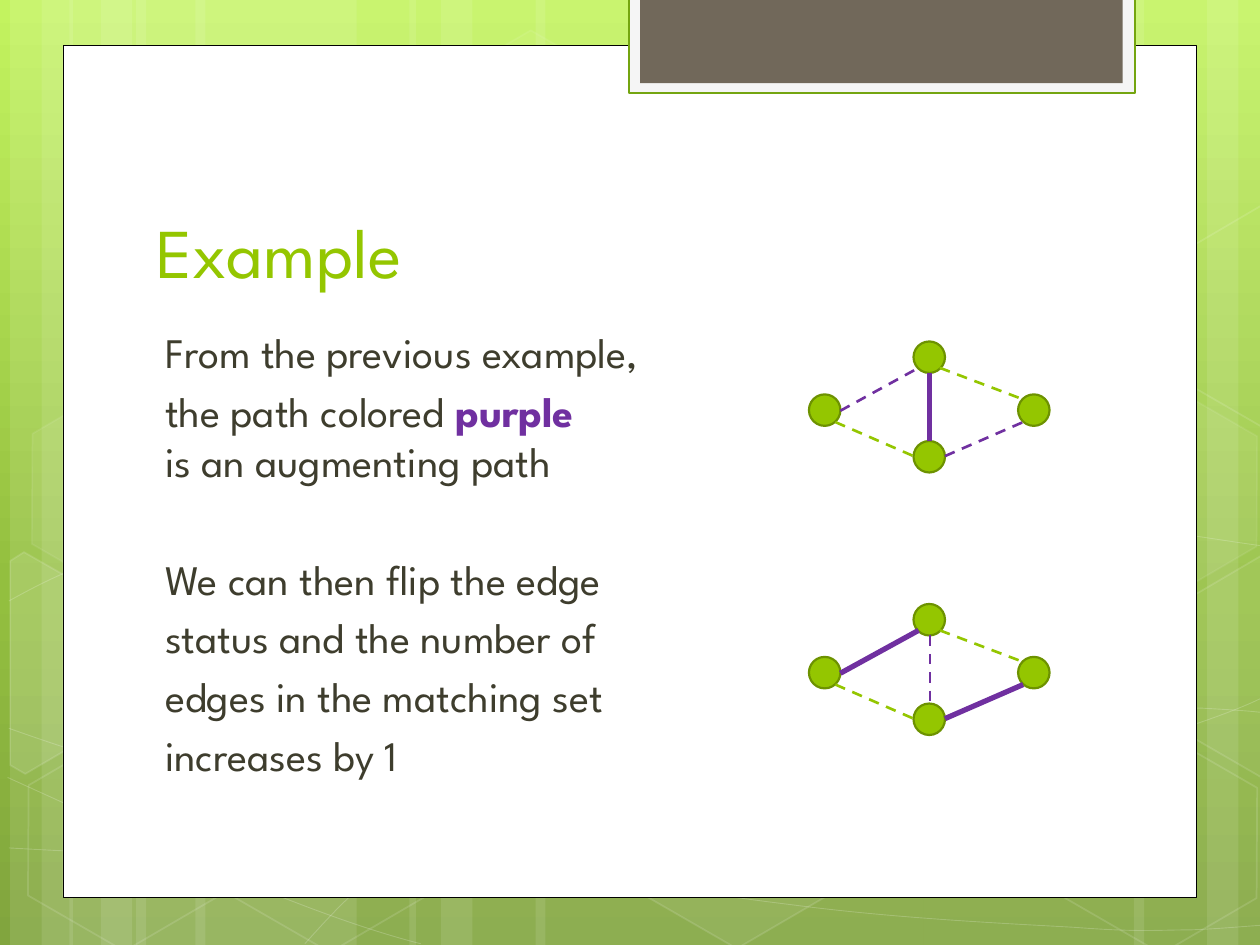
import math

import lxml.etree
import pptx
import pptx.dml.color
import pptx.enum.dml
import pptx.enum.shapes
import pptx.enum.text
import pptx.oxml.ns
import pptx.util

Inches, Pt, qn = pptx.util.Inches, pptx.util.Pt, pptx.oxml.ns.qn
SHAPE = pptx.enum.shapes.MSO_SHAPE
FONT = "League Spartan"
COLORS = {
    "white": "FFFFFF", "black": "000000", "green": "94C600", "rim": "6D9200",
    "purple": "7030A0", "ink": "3E3D2D", "tab": "71685A", "tab edge": "F5F5F5",
    "tab line": "74A510", "sky": "C3F35F", "leaf": "93BF3F", "moss": "81A53E",
}
BACKGROUND_STOPS = [("sky", 0), ("leaf", 62), ("moss", 100)]
BANDS = [
    (1.08, 1.75), (0.08, 0.5), (0.33, 0.83), (1.55, 1.75), (0.55, 0.5), (0.8, 0.83),
    (7.33, 1.75), (9.58, 0.5), (9, 0.83), (4.25, 3.08), (3.25, 0.5), (3.5, 0.83),
]
CURVES = [
    [(0.07, 6.73), (0.61, 6.76), (1.15, 6.79), (1.9, 6.78), (2.65, 6.77), (3.58, 6.75), (4.58, 6.65),
     (5.58, 6.55), (7, 6.36), (7.92, 6.17), (8.83, 5.98), (9.77, 5.68), (10.07, 5.51)],
    [(0.07, 4.77), (0.36, 4.61), (0.65, 4.46), (1.21, 4.31), (1.78, 4.16), (2.59, 3.94), (3.47, 3.87),
     (4.36, 3.8), (5.44, 3.79), (6.54, 3.87), (7.64, 3.95), (9.47, 4.26), (10.07, 4.34)],
    [(0.06, 6.17), (1.27, 6.72), (2.47, 7.27), (3.34, 7.49)],
    [(0.07, 5.78), (0.38, 5.89), (0.7, 6), (1.28, 6.16), (1.86, 6.31), (2.73, 6.56), (3.57, 6.73),
     (4.4, 6.9), (5.45, 7.08), (6.28, 7.18), (7.11, 7.29), (8, 7.33), (8.53, 7.36),
     (9.05, 7.4), (9.19, 7.38), (9.45, 7.38), (9.71, 7.37), (9.89, 7.35), (10.07, 7.34)],
    [(2.42, 7.49), (2.6, 7.29), (2.78, 7.09), (3.02, 6.91), (3.26, 6.73), (3.6, 6.53), (3.88, 6.39),
     (4.16, 6.25), (4.33, 6.19), (4.7, 6.09), (5.06, 5.99), (5.73, 5.85), (6.08, 5.78),
     (6.44, 5.71), (6.49, 5.71), (6.8, 5.69), (7.11, 5.66), (7.6, 5.63), (7.94, 5.62),
     (8.29, 5.61), (8.86, 5.62), (8.86, 5.62), (9.08, 5.62), (9.31, 5.62), (9.53, 5.62),
     (9.71, 5.63), (9.88, 5.64), (9.97, 5.65), (10.06, 5.66), (10.03, 5.65), (10.06, 5.66)],
]
HEXAGONS = [
    (3.34, 0.36, 4, 8), (4.97, 5.89, 6, 12), (0.11, 5.91, None, 12),
    (0.14, 3.12, 7, 8), (1.74, 5.92, None, 12), (7.53, 4.53, 10, 12),
    (8.34, 5.93, None, 12), (8.34, 3.14, 7, 8),
]
TILT = 30
CUT_HEXAGONS = [
    ([(0.08, 4.45), (0.19, 4.38), (0.96, 4.82), (0.95, 5.7), (0.2, 6.14), (0.08, 6.07)],
     (0.36, 5.35), 10),
    ([(9.26, 4.85), (10.01, 4.41), (10.09, 4.46), (10.09, 6.13), (10.02, 6.17), (9.26, 5.73)],
     (9.85, 5.2), 4),
    ([(9.26, 2.07), (10.01, 1.63), (10.1, 1.68), (10.09, 3.35), (10.02, 3.39), (9.26, 2.95)],
     (9.85, 2.41), None),
]
PANELS = [
    ((0.5, 0.36, 9, 6.76), "white", ("black", 0.5)),
    ((4.99, -0.02, 4.02, 0.76), "tab edge", ("tab line", 1.25)),
    ((5.08, -0.02, 3.83, 0.68), "tab", None),
]
TITLE = "Example"
BODY = [
    [("From the previous example,", "ink")],
    [("the path colored ", "ink"), ("purple", "purple"), None, ("is an augmenting path", "ink")],
    [("We can then flip the edge", "ink")],
    [("status and the number of", "ink")],
    [("edges in the matching set", "ink")],
    [("increases by 1", "ink")],
]
SECTION_START = 2
NODES = [(7.25, 3.5), (7.25, 2.71), (6.42, 3.13), (8.08, 3.13)]
EDGES = [
    ((6.67, 3.26), (7.29, 2.92), "purple"), ((7.46, 2.92), (8.12, 3.17), "green"),
    ((6.63, 3.35), (7.25, 3.62), "green"), ((7.5, 3.62), (8.12, 3.35), "purple"),
    ((7.38, 2.96), (7.38, 3.5), "purple"),
]
GRAPHS = [(0, {4}), (25 / 12, {0, 3})]


def rgb(name):
    return pptx.dml.color.RGBColor.from_string(COLORS[name])


def set_alpha(fill_element, percent):
    color = fill_element.find(".//" + qn("a:srgbClr"))
    lxml.etree.SubElement(color, qn("a:alpha"), val=str(percent * 1000))


def paint(shape, fill=None, line=None, fill_alpha=None, line_alpha=None):
    shape.shadow.inherit = False
    properties = shape._element.spPr
    if fill:
        shape.fill.solid()
        shape.fill.fore_color.rgb = rgb(fill)
        if fill_alpha:
            set_alpha(properties.find(qn("a:solidFill")), fill_alpha)
    else:
        shape.fill.background()
    if line:
        shape.line.color.rgb = rgb(line[0])
        shape.line.width = Pt(line[1])
        if line_alpha:
            set_alpha(properties.find(qn("a:ln")), line_alpha)
    else:
        shape.line.fill.background()


def add_preset(page, kind, box):
    return page.shapes.add_shape(kind, *map(Inches, box))


def add_outline(page, points, close):
    points = [tuple(map(Inches, point)) for point in points]
    builder = page.shapes.build_freeform(*points[0])
    builder.add_line_segments(points[1:], close=close)
    return builder.convert_to_shape()


def add_curve(page, controls):
    curve = add_outline(page, controls, False)
    segments = list(curve._element.iter(qn("a:lnTo")))
    for start in range(0, len(segments), 3):
        bend = lxml.etree.Element(qn("a:cubicBezTo"))
        segments[start].addprevious(bend)
        for segment in segments[start:start + 3]:
            bend.append(segment[0])
            segment.getparent().remove(segment)
    return curve


def untilt(point, center):
    x, y = point[0] - center[0], point[1] - center[1]
    cos, sin = math.cos(math.radians(TILT)), math.sin(math.radians(TILT))
    return center[0] + x * cos + y * sin, center[1] - x * sin + y * cos


def paint_background(page):
    fill = page.background.fill
    fill.gradient()
    fill.gradient_angle = 270
    stops = page.background._cSld.find(".//" + qn("a:gsLst"))
    for stop in list(stops):
        stops.remove(stop)
    for name, position in BACKGROUND_STOPS:
        stop = lxml.etree.SubElement(stops, qn("a:gs"), pos=str(position * 1000))
        lxml.etree.SubElement(stop, qn("a:srgbClr"), val=COLORS[name])


def add_decoration(page):
    for left, width in BANDS:
        paint(add_preset(page, SHAPE.RECTANGLE, (left, 0, width, 7.5)), "white", fill_alpha=10)
    for controls in CURVES:
        paint(add_curve(page, controls), line=("white", 0.5), line_alpha=20)
    for left, top, fill_alpha, line_alpha in HEXAGONS:
        hexagon = add_preset(page, SHAPE.HEXAGON, (left, top, 1.75, 1.52))
        hexagon.adjustments[0] = 0.285
        hexagon.rotation = TILT
        paint(hexagon, fill_alpha and "white", ("white", 1), fill_alpha, line_alpha)
    for points, center, fill_alpha in CUT_HEXAGONS:
        hexagon = add_outline(page, [untilt(point, center) for point in points], True)
        hexagon.rotation = TILT
        paint(hexagon, fill_alpha and "white", ("white", 1), fill_alpha, 12)
    for box, fill, line in PANELS:
        paint(add_preset(page, SHAPE.RECTANGLE, box), fill, line)


def add_frame(page, box, anchor):
    frame = page.shapes.add_textbox(*map(Inches, box)).text_frame
    frame.word_wrap = True
    frame.vertical_anchor = anchor
    return frame


def style(span, size, color):
    span.font.name, span.font.size = FONT, Pt(size)
    span.font.color.rgb = rgb(color)
    span.font.bold = color == "purple"


def add_words(page):
    body = add_frame(page, (1.14, 2.54, 7.41, 3.84), pptx.enum.text.MSO_ANCHOR.TOP)
    body.margin_left = Inches(0.17)
    for index, pieces in enumerate(BODY):
        para = body.add_paragraph() if index else body.paragraphs[0]
        para.space_before = Pt(38.4 if index == SECTION_START else 4.8)
        for piece in pieces:
            if piece is None:
                para.add_line_break()
                continue
            span = para.add_run()
            span.text = piece[0]
            style(span, 24, piece[1])
    title = add_frame(page, (1.14, 1.12, 7.68, 1.25), pptx.enum.text.MSO_ANCHOR.BOTTOM)
    title.text = TITLE
    style(title.paragraphs[0].runs[0], 40, "green")


def add_graph(page, drop, matched):
    for left, top in NODES:
        paint(add_preset(page, SHAPE.OVAL, (left, top + drop, 0.25, 0.25)), "green", ("rim", 1.25))
    for index, (start, end, color) in enumerate(EDGES):
        ends = (start[0], start[1] + drop, end[0], end[1] + drop)
        edge = page.shapes.add_connector(pptx.enum.shapes.MSO_CONNECTOR.STRAIGHT, *map(Inches, ends))
        edge.line.color.rgb = rgb(color)
        edge.line.width = Pt(3 if index in matched else 1.5)
        if index not in matched:
            edge.line.dash_style = pptx.enum.dml.MSO_LINE.DASH
        lxml.etree.SubElement(edge._element.spPr, qn("a:effectLst"))


deck = pptx.Presentation()
deck.slide_width, deck.slide_height = Inches(10), Inches(7.5)
page = deck.slides.add_slide(deck.slide_layouts[6])
paint_background(page)
add_decoration(page)
add_words(page)
for drop, matched in GRAPHS:
    add_graph(page, drop, matched)
deck.save("out.pptx")
